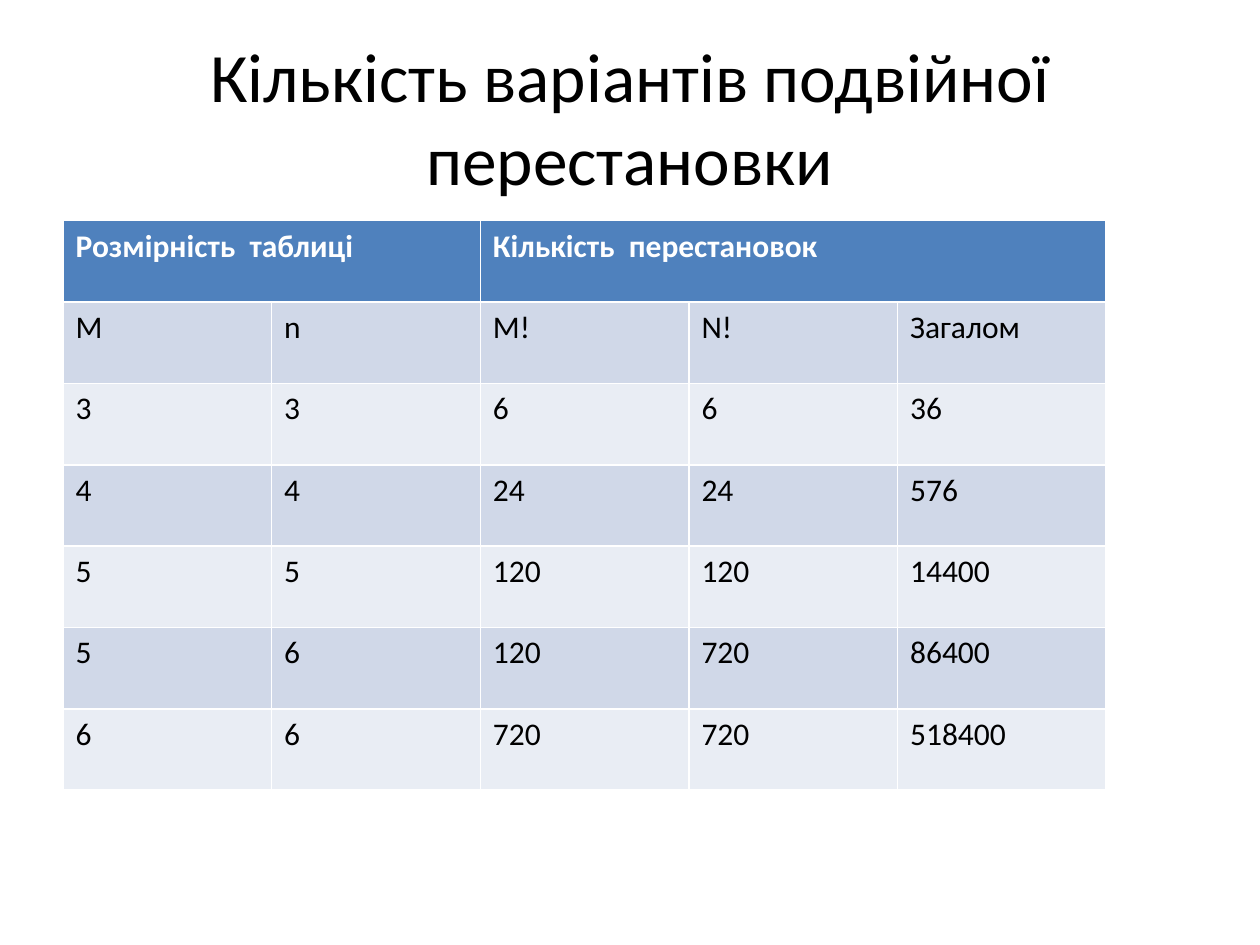
from dataclasses import dataclass
from pptx import Presentation
from pptx.dml.color import RGBColor as Rgb
from pptx.enum.text import MSO_ANCHOR as Anchor, PP_ALIGN as Align
from pptx.util import Cm, Pt


@dataclass(frozen=True)
class Theme:
    font: str = "Calibri"
    title: float = 39.6
    body: float = 18
    ink: str = "000000"
    light: str = "FFFFFF"
    head: str = "4F81BD"
    bands: tuple = ("D0D8E8", "E9EDF4")


@dataclass(frozen=True)
class Box:
    left: float
    top: float
    width: float
    height: float

    def emu(self):
        return Cm(self.left), Cm(self.top), Cm(self.width), Cm(self.height)


THEME = Theme()
TITLE = "Кількість варіантів подвійної перестановки"
HEADS = [("Розмірність  таблиці", 2), ("Кількість  перестановок", 3)]
ROWS = [
    ("M", "n", "M!", "N!", "Загалом"),
    (3, 3, 6, 6, 36),
    (4, 4, 24, 24, 576),
    (5, 5, 120, 120, 14400),
    (5, 6, 120, 720, 86400),
    (6, 6, 720, 720, 518400),
]


def style(para, size, color, bold=False):
    font = para.font
    font.name = THEME.font
    font.size = Pt(size)
    font.bold = bold
    font.color.rgb = Rgb.from_string(color)


def paint(cell, fill):
    cell.fill.solid()
    cell.fill.fore_color.rgb = Rgb.from_string(fill)


def write(cell, text, color, bold=False):
    cell.text = str(text)
    style(cell.text_frame.paragraphs[0], THEME.body, color, bold)


def add_title(slide, box):
    frame = slide.shapes.add_textbox(*box.emu()).text_frame
    frame.word_wrap = True
    frame.vertical_anchor = Anchor.MIDDLE
    para = frame.paragraphs[0]
    para.text = TITLE
    para.alignment = Align.CENTER
    style(para, THEME.title, THEME.ink)


def add_counts(slide, box):
    high, wide = len(ROWS) + 1, len(ROWS[0])
    table = slide.shapes.add_table(high, wide, *box.emu()).table
    for cell in table.rows[0].cells:
        paint(cell, THEME.head)
    col = 0
    for text, span in HEADS:
        cell = table.cell(0, col)
        cell.merge(table.cell(0, col + span - 1))
        write(cell, text, THEME.light, True)
        col += span
    for row, values in enumerate(ROWS):
        for col, value in enumerate(values):
            cell = table.cell(row + 1, col)
            paint(cell, THEME.bands[row % 2])
            write(cell, value, THEME.ink)


def main():
    deck = Presentation()
    deck.slide_width, deck.slide_height = Cm(25.4), Cm(19.05)
    slide = deck.slides.add_slide(deck.slide_layouts[6])
    add_title(slide, Box(1.27, 0.76, 22.86, 3.18))
    add_counts(slide, Box(1.27, 4.45, 21.03, 11.48))
    deck.save("out.pptx")


if __name__ == "__main__":
    main()
